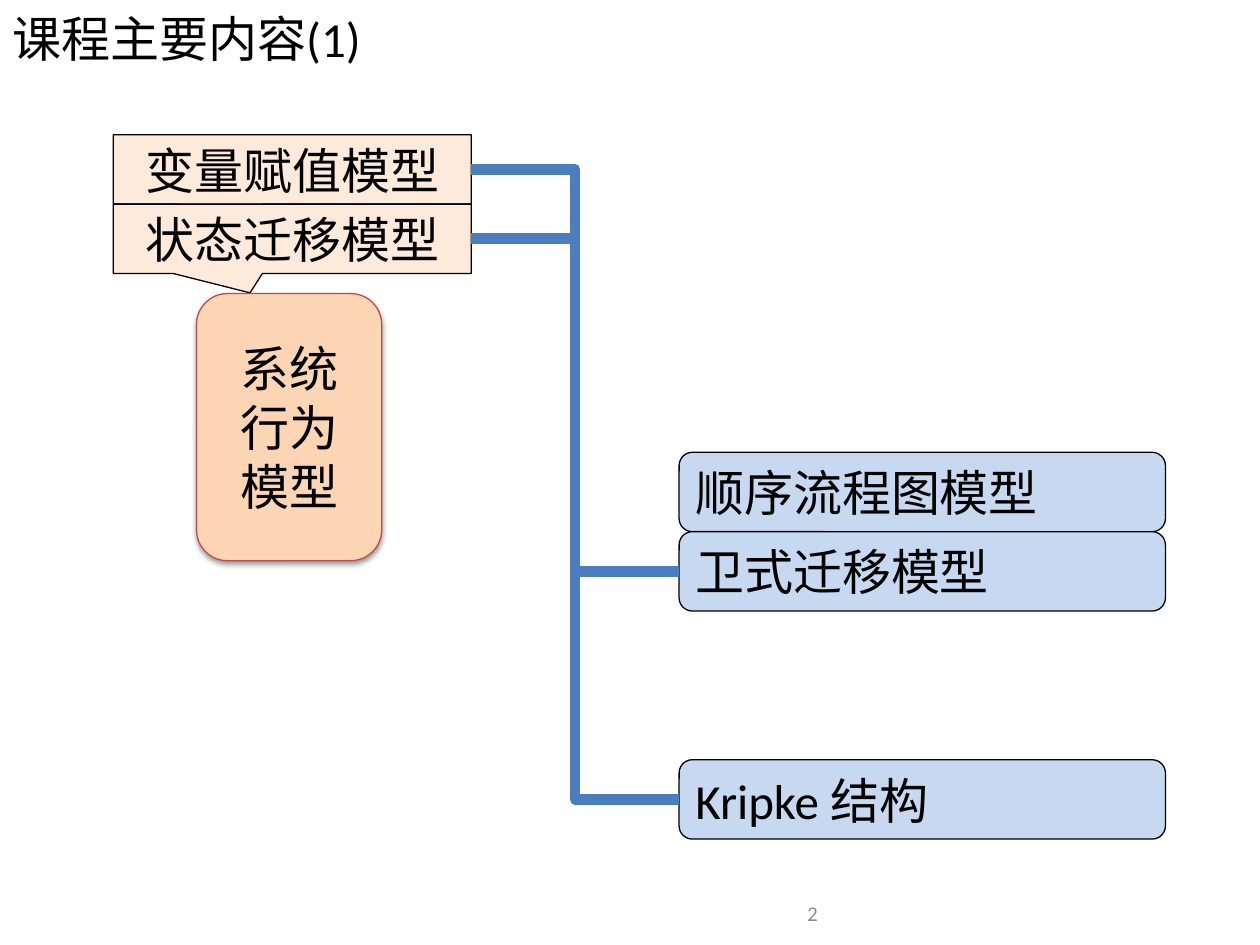
from lxml import etree
from pptx import Presentation
from pptx.dml.color import RGBColor
from pptx.enum.shapes import MSO_CONNECTOR, MSO_SHAPE
from pptx.enum.text import MSO_ANCHOR, MSO_AUTO_SIZE, PP_ALIGN
from pptx.oxml.ns import qn
from pptx.util import Inches, Pt

CALLOUT = MSO_SHAPE.RECTANGULAR_CALLOUT
PROCESS = MSO_SHAPE.FLOWCHART_ALTERNATE_PROCESS
ROUNDED = MSO_SHAPE.ROUNDED_RECTANGLE
ELBOW = MSO_CONNECTOR.ELBOW
LEFT, CENTER, RIGHT = PP_ALIGN.LEFT, PP_ALIGN.CENTER, PP_ALIGN.RIGHT
MIDDLE, BOTTOM = MSO_ANCHOR.MIDDLE, MSO_ANCHOR.BOTTOM
NO_AUTOFIT = MSO_AUTO_SIZE.NONE

BLACK = RGBColor(0x00, 0x00, 0x00)
GRAY = RGBColor(0x8C, 0x8C, 0x8C)
CREAM = RGBColor(0xFD, 0xEA, 0xDA)
PEACH = RGBColor(0xFC, 0xD5, 0xB5)
RED = RGBColor(0xBF, 0x4C, 0x48)
PALE_BLUE = RGBColor(0xC6, 0xD9, 0xF1)
BLUE = RGBColor(0x4B, 0x7E, 0xBC)

LEFT_SIDE, RIGHT_SIDE = 1, 3


class SlideBuilder:
    font = "Calibri"
    size = 28

    def __init__(self, page):
        self.page = page

    def add_text(self, frame, text, align, anchor=MIDDLE, wrap=True,
                 font=None, size=None, color=BLACK):
        frame.auto_size = NO_AUTOFIT
        frame.word_wrap = wrap
        frame.vertical_anchor = anchor
        para = frame.paragraphs[0]
        para.alignment = align
        span = para.add_run()
        span.text = text
        span.font.name = font or self.font
        span.font.size = Pt(size or self.size)
        span.font.color.rgb = color

    def title(self, text, left, top, width, height):
        box = self.page.shapes.title
        box.left, box.top = Inches(left), Inches(top)
        box.width, box.height = Inches(width), Inches(height)
        self.add_text(box.text_frame, text, LEFT)

    def shape(self, kind, text, left, top, width, height, fill,
              line=BLACK, align=LEFT, wrap=False, font=None):
        box = self.page.shapes.add_shape(
            kind, Inches(left), Inches(top), Inches(width), Inches(height))
        box.shadow.inherit = False
        box.fill.solid()
        box.fill.fore_color.rgb = fill
        box.line.color.rgb = line
        box.line.width = Pt(0.75)
        self.add_text(box.text_frame, text, align, wrap=wrap, font=font)
        return box

    def callout(self, text, left, top, width, height, tip):
        box = self.shape(CALLOUT, text, left, top, width, height, CREAM,
                         align=CENTER, font="Arial")
        box.adjustments[0], box.adjustments[1] = tip
        return box

    def drop_shadow(self, box, blur, distance, opacity):
        effects = box._element.spPr.find(qn("a:effectLst"))
        shadow = etree.SubElement(
            effects, qn("a:outerShdw"), blurRad=str(Pt(blur)),
            dist=str(Pt(distance)), dir="5400000", rotWithShape="0")
        color = etree.SubElement(shadow, qn("a:srgbClr"), val=str(BLACK))
        etree.SubElement(color, qn("a:alpha"), val=str(opacity * 1000))

    def elbow(self, source, target):
        line = self.page.shapes.add_connector(ELBOW, 0, 0, 0, 0)
        line.begin_connect(source, RIGHT_SIDE)
        line.end_connect(target, LEFT_SIDE)
        line.line.color.rgb = BLUE
        line.line.width = Pt(6)
        etree.SubElement(line._element.spPr, qn("a:effectLst"))

    def page_number(self, text, left, top, width, height):
        box = self.page.shapes.add_textbox(
            Inches(left), Inches(top), Inches(width), Inches(height))
        box.text_frame.margin_bottom = 0
        self.add_text(box.text_frame, text, RIGHT, BOTTOM, size=12, color=GRAY)


def main():
    deck = Presentation()
    deck.slide_width, deck.slide_height = Inches(10), Inches(7.5)
    page = deck.slides.add_slide(deck.slide_layouts[5])
    builder = SlideBuilder(page)

    builder.page_number("2", 3.42, 6.95, 3.17, 0.4)
    builder.title("课程主要内容(1)", 0, 0, 9.51, 0.6)

    # Behaviour models, with tips pointing at their shared heading
    assignment = builder.callout("变量赋值模型", 0.9, 1.07, 2.84, 0.55,
                                 (-0.098, 0.503))
    transition = builder.callout("状态迁移模型", 0.9, 1.62, 2.84, 0.55,
                                 (-0.118, 0.78))
    heading = builder.shape(ROUNDED, "系统行为模型", 1.56, 2.33, 1.47, 2.12,
                            PEACH, RED, CENTER, wrap=True)
    builder.drop_shadow(heading, blur=3.1, distance=1.6, opacity=38)

    # Concrete models on the right
    rows = [("顺序流程图模型", 3.59), ("卫式迁移模型", 4.22), ("Kripke 结构", 6.03)]
    flowchart, guarded, kripke = [
        builder.shape(PROCESS, text, 5.39, top, 3.86, 0.63, PALE_BLUE)
        for text, top in rows]

    # Links between the two sides
    builder.elbow(transition, kripke)
    builder.elbow(assignment, guarded)

    deck.save("out.pptx")


if __name__ == "__main__":
    main()
